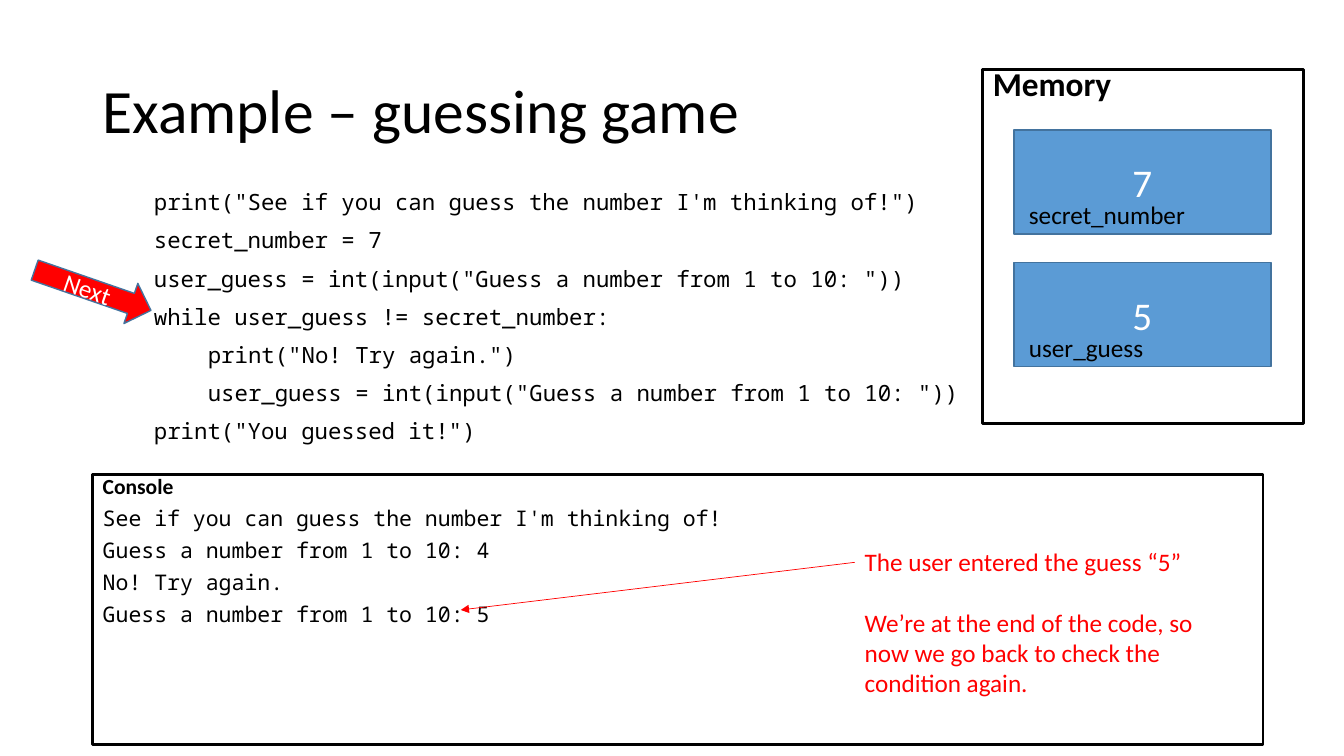
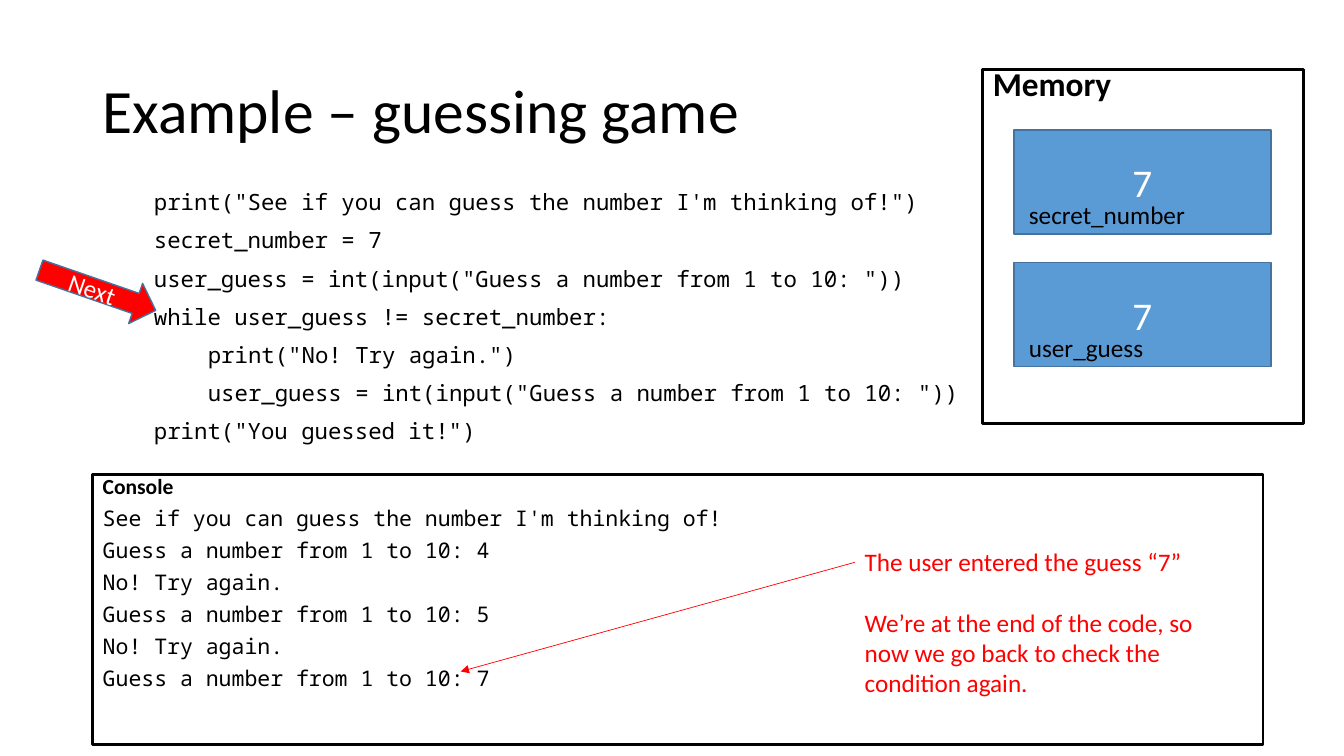
from lxml import etree
from pptx import Presentation
from pptx.dml.color import RGBColor
from pptx.enum.shapes import MSO_CONNECTOR, MSO_SHAPE
from pptx.enum.text import MSO_ANCHOR, PP_ALIGN
from pptx.oxml.ns import qn
from pptx.util import Cm, Pt

RECTANGLE, RIGHT_ARROW = MSO_SHAPE.RECTANGLE, MSO_SHAPE.RIGHT_ARROW
STRAIGHT = MSO_CONNECTOR.STRAIGHT
TOP, MIDDLE = MSO_ANCHOR.TOP, MSO_ANCHOR.MIDDLE
LEFT, CENTER = PP_ALIGN.LEFT, PP_ALIGN.CENTER

SANS, MONO = "Calibri", "Noto Sans Mono"
BLACK, WHITE, RED = "000000", "FFFFFF", "FF0000"
BLUE, DARK_BLUE = "5B9BD5", "43739E"

# Content
TITLE = "Example – guessing game"
CODE = [  # indent level, line
    (0, 'print("See if you can guess the number I\'m thinking of!")'),
    (0, "secret_number = 7"),
    (0, 'user_guess = int(input("Guess a number from 1 to 10: "))'),
    (0, "while user_guess != secret_number:"),
    (1, 'print("No! Try again.")'),
    (1, 'user_guess = int(input("Guess a number from 1 to 10: "))'),
    (0, 'print("You guessed it!")'),
]
GREETING = "See if you can guess the number I'm thinking of!"
PROMPT = "Guess a number from 1 to 10: "
RETRY = "No! Try again."
NOTE = "We’re at the end of the code, so now we go back to check the condition again."
SECRET = "7"
STEPS = [
    {"guesses": ["4", "5"], "next_left": 0.79, "pointer_end": 15.37},
    {"guesses": ["4", "5", "7"], "next_left": 0.91, "pointer_end": 16.92},
]

# Layout in centimetres: left, top, width, height
TITLE_BOX = (2.33, 1.01, 29.21, 3.68)
CODE_BOX = (3.63, 4.7, 29.21, 12.09)
CONSOLE_BOX = (2.34, 11.96, 29.49, 6.81)
MEMORY_BOX = (24.77, 1.75, 8.08, 8.92)
NOTE_BOX = (21.54, 13.64, 9.4, 4.11)
POINTER_START, POINTER_END_X = (21.54, 14.17), 11.61
NEXT_TOP, NEXT_SIZE, NEXT_ANGLE = 6.78, (3.1, 1.07), 19.1
CELL_LEFT, CELL_TOP, CELL_SIZE, CELL_PITCH = 25.55, 3.28, (6.48, 2.62), 3.34
LABEL_SHIFT, LABEL_HEIGHT = (0.13, 1.63), 1.02
LABEL_WIDTHS = {"secret_number": 4.5, "user_guess": 3.43}
CODE_INDENT = 1.36


def color(hex_text):
    """Turn a hex string into a colour."""
    return RGBColor.from_string(hex_text)


def write(shape, lines, size, font=SANS, ink=BLACK, align=LEFT, anchor=TOP,
          spacing=None, before=0, bold=False, wrap=True):
    """Write one paragraph per line into a shape and return the paragraphs."""
    frame = shape.text_frame
    frame.word_wrap = wrap
    frame.vertical_anchor = anchor
    for index, line in enumerate(lines):
        paragraph = frame.add_paragraph() if index else frame.paragraphs[0]
        paragraph.alignment = align
        paragraph.space_before = Pt(before)
        if spacing:
            paragraph.line_spacing = spacing
        run = paragraph.add_run()
        run.text = line
        run.font.name = font
        run.font.size = Pt(size)
        run.font.bold = bold
        run.font.color.rgb = color(ink)
    return frame.paragraphs


def add_text(slide, box, lines, size, **style):
    """Add a text box and return its paragraphs."""
    return write(slide.shapes.add_textbox(*map(Cm, box)), lines, size, **style)


def add_box(slide, kind, box, fill=None, line=BLACK, weight=2):
    """Add a preset shape, unfilled unless a fill is given."""
    shape = slide.shapes.add_shape(kind, *map(Cm, box))
    shape.shadow.inherit = False
    if fill:
        shape.fill.solid()
        shape.fill.fore_color.rgb = color(fill)
    else:
        shape.fill.background()
    shape.line.color.rgb = color(line)
    shape.line.width = Pt(weight)
    return shape


def add_panel(slide, box, lines, size):
    """Add an outlined panel with a bold heading above plain monospaced lines."""
    panel = add_box(slide, RECTANGLE, box)
    heading, *rest = write(panel, lines, size, font=MONO, spacing=0.7, before=10)
    heading.runs[0].font.name = SANS
    heading.runs[0].font.bold = True


def add_code(slide):
    """Add the program, indenting nested lines."""
    paragraphs = add_text(slide, CODE_BOX, [line for _, line in CODE], 16,
                          font=MONO, spacing=0.9, before=10)
    for paragraph, (level, _) in zip(paragraphs, CODE):
        properties = paragraph._p.get_or_add_pPr()
        properties.set("marL", str(Cm(CODE_INDENT * level)))
        properties.set("indent", "0")


def add_next_arrow(slide, left):
    """Add the tilted arrow that marks the next line to run."""
    arrow = add_box(slide, RIGHT_ARROW, (left, NEXT_TOP, *NEXT_SIZE), RED, DARK_BLUE, 1)
    arrow.rotation = NEXT_ANGLE
    write(arrow, ["Next"], 18, ink=WHITE, align=CENTER, anchor=MIDDLE)


def add_note(slide, guess, pointer_end):
    """Add the red note and the arrow from it to the latest guess."""
    lines = [f"The user entered the guess “{guess}”", NOTE]
    paragraphs = add_text(slide, NOTE_BOX, lines, 18, ink=RED)
    paragraphs[1].space_before = Pt(22)
    pointer = slide.shapes.add_connector(
        STRAIGHT, *map(Cm, (*POINTER_START, POINTER_END_X, pointer_end)))
    pointer.line.color.rgb = color(RED)
    pointer.line.width = Pt(0.5)
    etree.SubElement(pointer.line._get_or_add_ln(), qn("a:tailEnd"), type="triangle")
    etree.SubElement(pointer._element.spPr, qn("a:effectLst"))


def add_memory(slide, variables):
    """Add the memory panel with one cell per variable."""
    add_panel(slide, MEMORY_BOX, ["Memory"], 23.8)
    for index, (name, value) in enumerate(variables.items()):
        top = CELL_TOP + index * CELL_PITCH
        cell = add_box(slide, RECTANGLE, (CELL_LEFT, top, *CELL_SIZE), BLUE, DARK_BLUE, 1)
        write(cell, [value], 28, ink=WHITE, align=CENTER, anchor=MIDDLE)
        label_box = (CELL_LEFT + LABEL_SHIFT[0], top + LABEL_SHIFT[1],
                     LABEL_WIDTHS[name], LABEL_HEIGHT)
        add_text(slide, label_box, [name], 18, wrap=False)


def console_lines(guesses):
    """List the console output after the given guesses."""
    lines = ["Console", GREETING]
    for index, guess in enumerate(guesses):
        if index:
            lines.append(RETRY)
        lines.append(PROMPT + guess)
    return lines


def add_step(presentation, guesses, next_left, pointer_end):
    """Add the slide for one step of the game."""
    slide = presentation.slides.add_slide(presentation.slide_layouts[6])
    add_text(slide, TITLE_BOX, [TITLE], 44, anchor=MIDDLE, spacing=0.9)
    add_code(slide)
    add_panel(slide, CONSOLE_BOX, console_lines(guesses), 15.4)
    add_next_arrow(slide, next_left)
    add_note(slide, guesses[-1], pointer_end)
    add_memory(slide, {"secret_number": SECRET, "user_guess": guesses[-1]})


presentation = Presentation()
presentation.slide_width, presentation.slide_height = Cm(33.87), Cm(19.05)
for step in STEPS:
    add_step(presentation, **step)
presentation.save("out.pptx")
